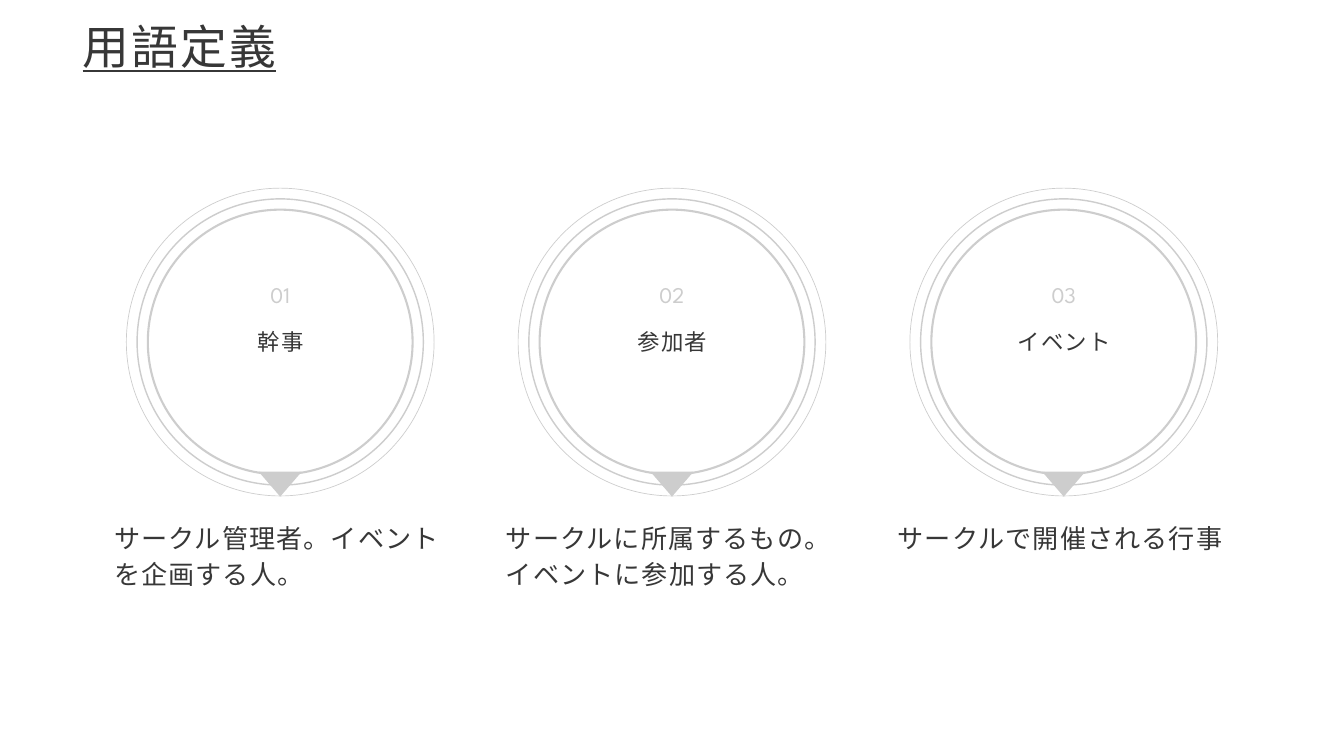
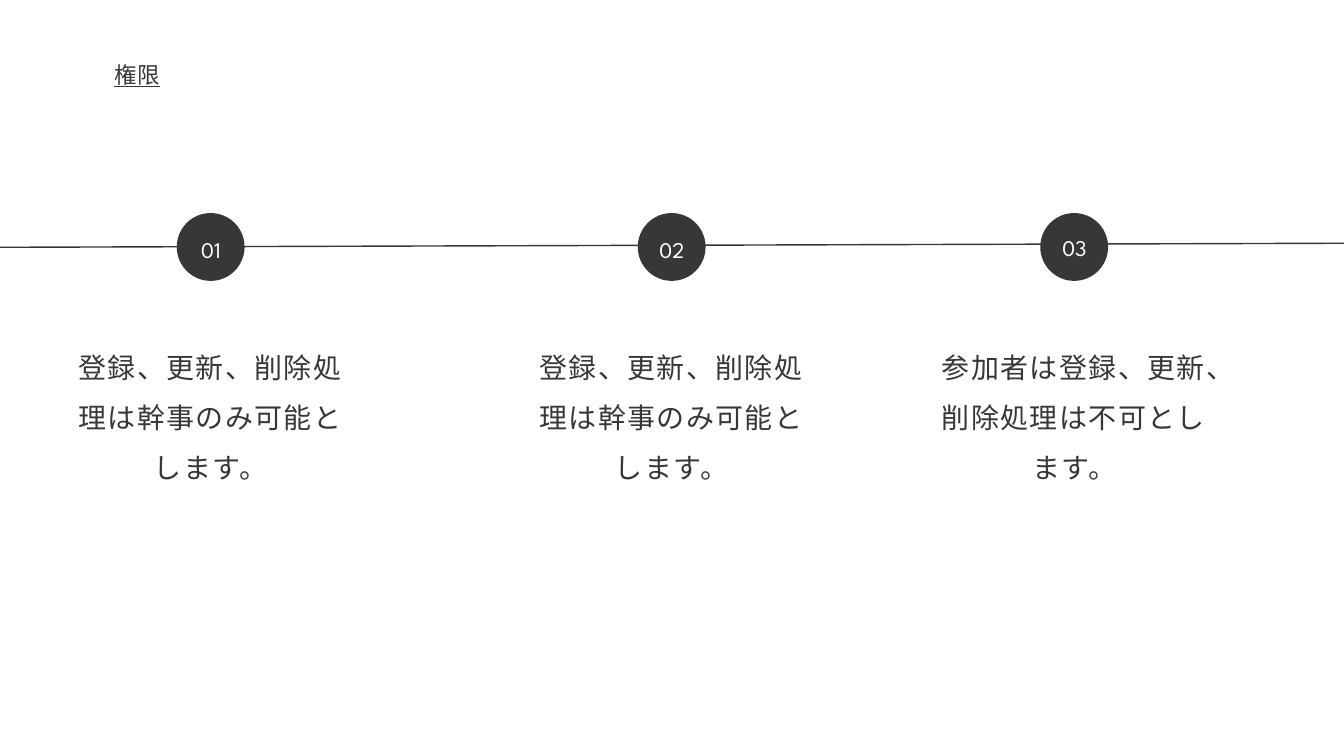
from pptx import Presentation
from pptx.dml.color import RGBColor
from pptx.enum.shapes import MSO_CONNECTOR, MSO_SHAPE as SHAPE
from pptx.enum.text import MSO_AUTO_SIZE, PP_ALIGN
from pptx.util import Inches, Pt
from lxml import etree

COLORS = {"ink": "373737", "ring": "CDCDCD", "white": "FFFFFF"}
BODY, NUMERAL = "Calibri", "League Spartan"


def add_text(slide, text, box, size, leading, color="ink", font=BODY,
             spacing=1.2, align=PP_ALIGN.LEFT, underline=None):
    frame = slide.shapes.add_textbox(*map(Inches, box)).text_frame
    frame.margin_left = frame.margin_top = frame.margin_right = frame.margin_bottom = 0
    frame.word_wrap = True
    frame.auto_size = MSO_AUTO_SIZE.SHAPE_TO_FIT_TEXT
    paragraph = frame.paragraphs[0]
    paragraph.text = text
    paragraph.alignment = align
    paragraph.line_spacing = Pt(leading)
    paragraph.font.size = Pt(size)
    paragraph.font.name = font
    paragraph.font.underline = underline
    paragraph.font.color.rgb = RGBColor.from_string(COLORS[color])
    paragraph.font._element.set("spc", str(round(spacing * 100)))


def add_figure(slide, kind, box, fill=None, line=None, width=0):
    figure = slide.shapes.add_shape(kind, *map(Inches, box))
    figure.shadow.inherit = False
    if fill:
        figure.fill.solid()
        figure.fill.fore_color.rgb = RGBColor.from_string(COLORS[fill])
    else:
        figure.fill.background()
    if line:
        figure.line.color.rgb = RGBColor.from_string(COLORS[line])
        figure.line.width = Pt(width)
    else:
        figure.line.fill.background()


prs = Presentation()
prs.slide_width, prs.slide_height = Inches(20), Inches(11.25)
blank = prs.slide_layouts[6]

# Slide 1: definitions of terms
terms = prs.slides.add_slide(blank)
add_text(terms, "用語定義", (1.23, -0.02, 3.26, 1.56), 50.1, 80.2, spacing=2.5, underline=True)

definitions = [
    ("幹事", "サークル管理者。イベントを企画する人。", 1.03),
    ("参加者", "サークルに所属するもの。イベントに参加する人。", 1.03),
    ("イベント", "サークルで開催される行事", 0.5),
]
rings = [(4.58, 0.75), (4.26, 1.5), (3.94, 2.25)]
ring_middle = 5.09
for index, (term, meaning, meaning_height) in enumerate(definitions):
    center = 4.17 + 5.83 * index
    # Concentric rings with a pointer at the bottom
    for diameter, width in rings:
        add_figure(terms, SHAPE.OVAL,
                   (center - diameter / 2, ring_middle - diameter / 2, diameter, diameter),
                   line="ring", width=width)
    add_figure(terms, SHAPE.FLOWCHART_MERGE, (center - 0.32, 7.02, 0.64, 0.37), fill="ring")
    # Number, term and meaning
    add_text(terms, f"{index + 1:02}", (center - 0.91, 3.91, 1.82, 0.66), 24, 48,
             color="ring", font=NUMERAL, spacing=0, align=PP_ALIGN.CENTER)
    add_text(terms, term, (center - 1.55, 4.68, 3.11, 0.8), 24, 43.2, align=PP_ALIGN.CENTER)
    add_text(terms, meaning, (center - 2.47, 7.71, 4.94, meaning_height), 28, 38.4)

# Slide 2: permissions
permissions = prs.slides.add_slide(blank)
add_text(permissions, "権限", (1.7, 0.77, 0.72, 0.75), 24, 38.4, underline=True)

# Line behind the numbered dots
timeline = permissions.shapes.add_connector(
    MSO_CONNECTOR.STRAIGHT, Inches(0), Inches(3.68), Inches(20), Inches(3.62))
timeline.line.color.rgb = RGBColor.from_string(COLORS["ink"])
timeline.line.width = Pt(1.5)
etree.SubElement(timeline._element.spPr,
                 "{http://schemas.openxmlformats.org/drawingml/2006/main}effectLst")

# Rules: dot center, top of the number, wording
organizer_rule = "登録、更新、削除処理は幹事のみ可能とします。"
rules = [
    (3.14, 3.24, organizer_rule),
    (10, 3.24, organizer_rule),
    (15.99, 3.22, "参加者は登録、更新、削除処理は不可とします。"),
]
for number, (center, number_top, rule) in enumerate(rules, 1):
    add_figure(permissions, SHAPE.OVAL, (center - 0.51, 3.17, 1.01, 1.01), fill="ink")
    add_text(permissions, rule, (center - 2.02, 4.96, 4.03, 2.53), 30, 54,
             spacing=1.5, align=PP_ALIGN.CENTER)
    add_text(permissions, f"{number:02}", (center - 0.37, number_top, 0.74, 0.66), 24, 48,
             color="white", font=NUMERAL, spacing=0, align=PP_ALIGN.CENTER)

prs.save("out.pptx")
